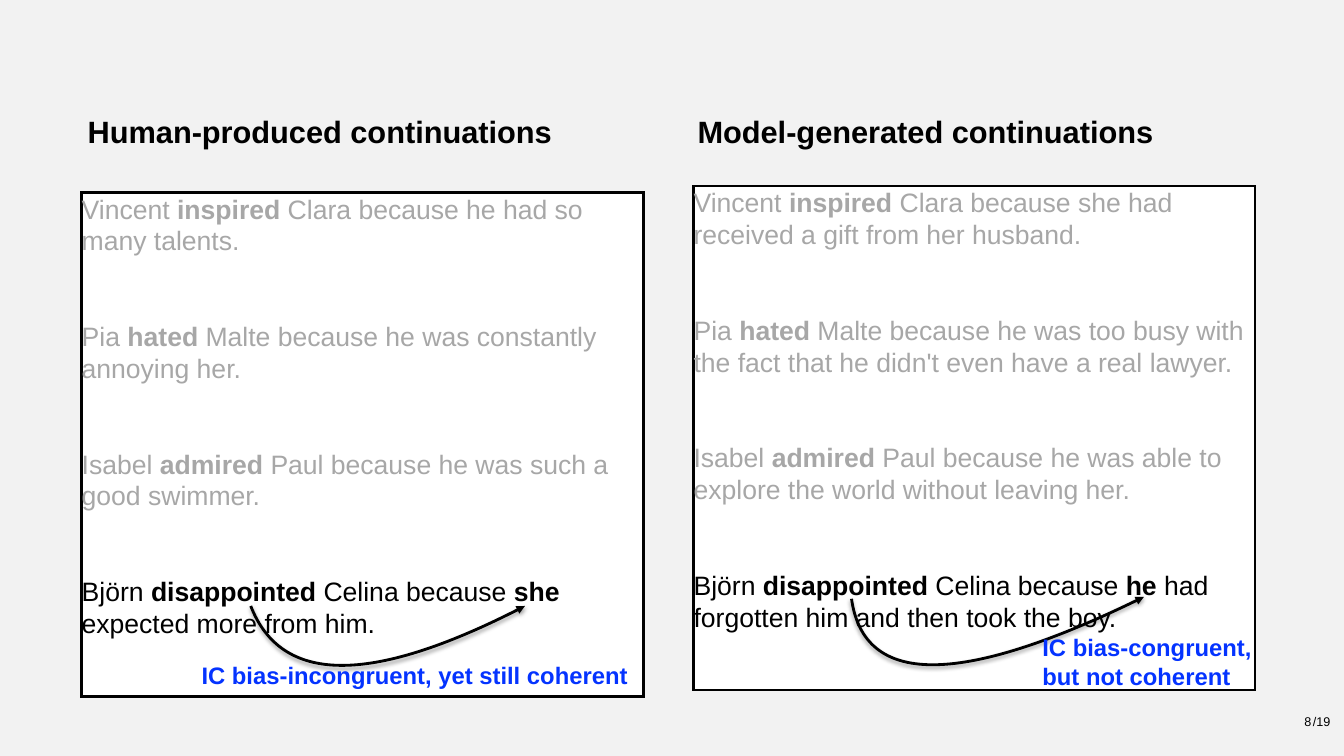
from dataclasses import dataclass

from lxml.etree import SubElement
from pptx import Presentation
from pptx.dml.color import RGBColor as Rgb
from pptx.enum.shapes import MSO_SHAPE as Shape
from pptx.enum.text import MSO_ANCHOR as Anchor, MSO_AUTO_SIZE as Fit, PP_ALIGN as Align
from pptx.oxml.ns import qn
from pptx.util import Cm, Pt


@dataclass(frozen=True)
class Theme:
    font: str = "Arial"
    backdrop: Rgb = Rgb(0xF2, 0xF2, 0xF2)
    white: Rgb = Rgb(0xFF, 0xFF, 0xFF)
    black: Rgb = Rgb(0, 0, 0)
    faded: Rgb = Rgb(0xA7, 0xA7, 0xA7)
    blue: Rgb = Rgb(0x04, 0x33, 0xFF)
    heading_size: float = 22
    body_size: float = 19
    label_size: float = 17
    page_size: float = 9
    line_width: float = 2
    example_gap: float = 45.5


THEME = Theme()
INSET = 0.13


@dataclass(frozen=True)
class Area:
    """Left, top, width and height in centimetres."""
    left: float
    top: float
    width: float
    height: float

    def lengths(self) -> list:
        return [Cm(v) for v in (self.left, self.top, self.width, self.height)]


@dataclass(frozen=True)
class Column:
    heading: str
    heading_area: Area
    panel_area: Area
    examples: tuple  # bold words stand between asterisks
    arc: tuple  # start, two control points, end
    label: str
    label_area: Area


COLUMNS = (
    Column(
        "Human-produced continuations",
        Area(2.08, 2.72, 12.24, 1.14),
        Area(2.06, 4.85, 14.15, 12.7),
        ("Vincent *inspired* Clara because he had so many talents.",
         "Pia *hated* Malte because he was constantly annoying her.",
         "Isabel *admired* Paul because he was such a good swimmer.",
         "Björn *disappointed* Celina because *she* expected more from him."),
        ((6.32, 15.27), (7.09, 17.25), (9.4, 17.25), (13.23, 15.27)),
        "IC bias-incongruent, yet still coherent",
        Area(4.95, 16.51, 11.63, 1.8),
    ),
    Column(
        "Model-generated continuations",
        Area(17.45, 2.72, 12.01, 1.14),
        Area(17.48, 4.69, 14.15, 12.7),
        ("Vincent *inspired* Clara because she had received a gift from her husband.",
         "Pia *hated* Malte because he was too busy with the fact that he didn't "
         "even have a real lawyer.",
         "Isabel *admired* Paul because he was able to explore the world "
         "without leaving her.",
         "Björn *disappointed* Celina because *he* had forgotten him and then "
         "took the boy."),
        ((21.46, 15.09), (21.77, 17.3), (24.23, 17.3), (28.83, 15.04)),
        "IC bias-congruent, but not coherent",
        Area(26.14, 15.82, 5.59, 1.57),
    ),
)

PAGE_NUMBER = (("8", Area(32.87, 17.98, 0.18, 0.38)),
               ("/19", Area(33.07, 17.98, 0.46, 0.38)))


def set_all(target, values: dict) -> None:
    for name, value in values.items():
        setattr(target, name, value)


def prepare_frame(frame, inset: float, wrap: bool) -> None:
    sides = ("margin_left", "margin_top", "margin_right", "margin_bottom")
    set_all(frame, {side: Cm(inset) for side in sides})
    set_all(frame, {"word_wrap": wrap, "vertical_anchor": Anchor.TOP,
                    "auto_size": Fit.NONE if wrap else Fit.SHAPE_TO_FIT_TEXT})


def draw_outline(shape) -> None:
    shape.shadow.inherit = False
    shape.line.color.rgb = THEME.black
    shape.line.width = Pt(THEME.line_width)
    SubElement(shape.element.spPr.find(qn("a:ln")), qn("a:miter"), lim="800000")


def add_span(para, text: str, size: float, color: Rgb, bold: bool) -> None:
    span = para.add_run()
    span.text = text
    set_all(span.font, {"name": THEME.font, "size": Pt(size), "bold": bold})
    span.font.color.rgb = color


def add_text(slide, text: str, area: Area, size: float, color: Rgb = THEME.black,
             bold: bool = True, wrap: bool = False, inset: float = INSET,
             align: Align = Align.LEFT) -> None:
    box = slide.shapes.add_textbox(*area.lengths())
    prepare_frame(box.text_frame, inset, wrap)
    para = box.text_frame.paragraphs[0]
    para.alignment = align
    add_span(para, text, size, color, bold)


def add_panel(slide, column: Column) -> None:
    panel = slide.shapes.add_shape(Shape.RECTANGLE, *column.panel_area.lengths())
    panel.fill.solid()
    panel.fill.fore_color.rgb = THEME.white
    draw_outline(panel)
    frame = panel.text_frame
    prepare_frame(frame, 0, True)
    last = len(column.examples) - 1
    for index, example in enumerate(column.examples):
        para = frame.add_paragraph() if index else frame.paragraphs[0]
        set_all(para, {"alignment": Align.LEFT, "line_spacing": 1.0,
                       "space_before": Pt(THEME.example_gap if index else 0)})
        color = THEME.black if index == last else THEME.faded
        for part, text in enumerate(example.split("*")):
            add_span(para, text, THEME.body_size, color, part % 2 == 1)


def curve_points(controls: tuple, steps: int = 40) -> list:
    """Points along a cubic curve, which give its true extent."""
    points = []
    for step in range(steps + 1):
        t = step / steps
        weights = ((1 - t) ** 3, 3 * t * (1 - t) ** 2, 3 * t * t * (1 - t), t ** 3)
        points.append(tuple(Cm(sum(w * point[axis] for w, point in zip(weights, controls)))
                            for axis in (0, 1)))
    return points


def add_arc(slide, controls: tuple) -> None:
    start, *others = curve_points(controls)
    builder = slide.shapes.build_freeform(*start)
    builder.add_line_segments(others, close=False)
    arc = builder.convert_to_shape()
    arc.fill.background()
    draw_outline(arc)
    properties = arc.element.spPr

    # One smooth curve in place of the segments
    outline = next(properties.iter(qn("a:path")))
    for segment in outline.findall(qn("a:lnTo")):
        outline.remove(segment)
    curve = SubElement(outline, qn("a:cubicBezTo"))
    for x, y in controls[1:]:
        SubElement(curve, qn("a:pt"), x=str(Cm(x) - arc.left), y=str(Cm(y) - arc.top))

    # Arrowhead and soft shadow
    SubElement(properties.find(qn("a:ln")), qn("a:tailEnd"), type="triangle")
    shadow = SubElement(properties.find(qn("a:effectLst")), qn("a:outerShdw"),
                        blurRad=str(Pt(3)), dist=str(Pt(1.6)), dir="5400000",
                        rotWithShape="0")
    tint = SubElement(shadow, qn("a:srgbClr"), val=str(THEME.black))
    SubElement(tint, qn("a:alpha"), val="38000")


def main() -> None:
    deck = Presentation()
    set_all(deck, {"slide_width": Cm(33.87), "slide_height": Cm(19.05)})
    slide = deck.slides.add_slide(deck.slide_layouts[6])
    slide.background.fill.solid()
    slide.background.fill.fore_color.rgb = THEME.backdrop

    # Panels and their headings
    for column in COLUMNS:
        add_panel(slide, column)
        add_text(slide, column.heading, column.heading_area, THEME.heading_size)

    # Arcs from verb to pronoun, with their verdicts
    for column in COLUMNS:
        add_arc(slide, column.arc)
        add_text(slide, column.label, column.label_area, THEME.label_size, THEME.blue,
                 wrap=True)

    # Page number
    for text, area in PAGE_NUMBER:
        add_text(slide, text, area, THEME.page_size, bold=False, inset=0,
                 align=Align.RIGHT)

    deck.save("out.pptx")


if __name__ == "__main__":
    main()
